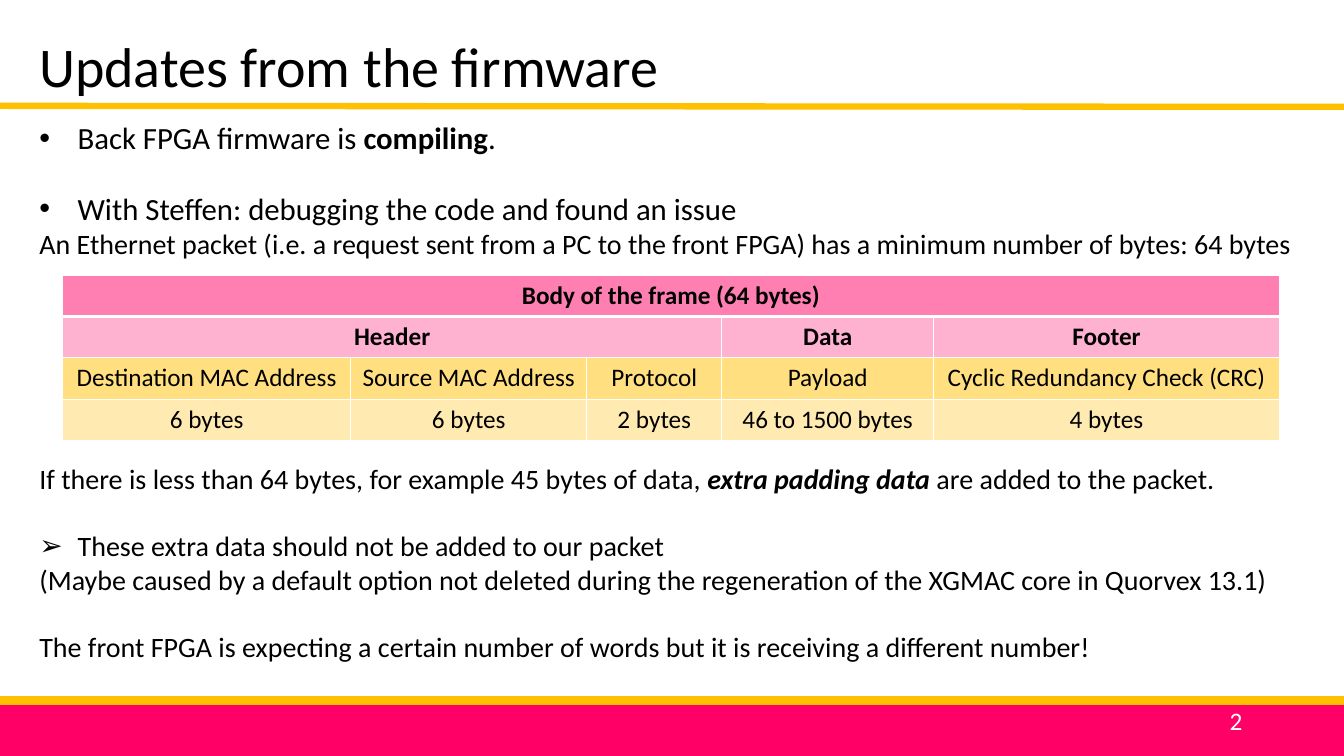
from lxml import etree
from pptx import Presentation
from pptx.dml.color import RGBColor
from pptx.enum import shapes, text
from pptx.oxml import ns
from pptx.util import Inches, Pt

PINK = RGBColor(0xFF, 0x00, 0x66)
GOLD = RGBColor(0xFF, 0xC0, 0x00)
BLACK = RGBColor(0, 0, 0)
WHITE = RGBColor(0xFF, 0xFF, 0xFF)
FONT = "Calibri"

# Gap before (pt), size, bullet, runs as (text, style)
BODY = [
    (0, 22, "•", [("Back FPGA firmware is ", ""), ("compiling", "b"), (".", "")]),
    (24, 22, "•", [("With Steffen: debugging the code and found an issue", "")]),
    (0, 20, "", [("An Ethernet packet (i.e. a request sent from a PC to the front "
                  "FPGA) has a minimum number of bytes: 64 bytes", "")]),
    (144, 20, "", [("If there is less than 64 bytes, for example 45 bytes of data, ", ""),
                   ("extra padding data", "bi"), (" are added to the packet.", "")]),
    (24, 20, "➢", [("These extra data should not be added to our packet", "")]),
    (0, 20, "", [("(Maybe caused by a default option not deleted during the "
                  "regeneration of the XGMAC core in Quorvex 13.1)", "")]),
    (24, 20, "", [("The front FPGA is expecting a certain number of words but it "
                   "is receiving a different number!", "")]),
]

# Fill, opacity (%), bold, cells as (text, columns spanned)
ROWS = [
    (PINK, 50, True, [("Body of the frame (64 bytes)", 5)]),
    (PINK, 30, True, [("Header", 3), ("Data", 1), ("Footer", 1)]),
    (GOLD, 50, False, [("Destination MAC Address", 1), ("Source MAC Address", 1),
                       ("Protocol", 1), ("Payload", 1),
                       ("Cyclic Redundancy Check (CRC)", 1)]),
    (GOLD, 30, False, [("6 bytes", 1), ("6 bytes", 1), ("2 bytes", 1),
                       ("46 to 1500 bytes", 1), ("4 bytes", 1)]),
]
COLS = [2.86, 2.34, 1.34, 2.1, 3.43]
ROW_H = 0.41


def add(parent, tag, **attrs):
    return etree.SubElement(parent, ns.qn(tag), attrs)


def place(shape, left, top, width, height):
    shape.left, shape.top = Inches(left), Inches(top)
    shape.width, shape.height = Inches(width), Inches(height)


def style(run, size, color=BLACK, bold=False, italic=False):
    font = run.font
    font.name, font.size = FONT, Pt(size)
    font.bold, font.italic = bold, italic
    font.color.rgb = color


def add_rule(slide, y1, y2, width):
    line = slide.shapes.add_connector(
        shapes.MSO_CONNECTOR.STRAIGHT, 0, Inches(y1), Inches(13.33), Inches(y2))
    line.line.color.rgb = GOLD
    line.line.width = Pt(width)
    add(line._element.spPr, "a:effectLst")


def add_band(slide):
    band = slide.shapes.add_shape(
        shapes.MSO_SHAPE.RECTANGLE, 0, Inches(6.96), Inches(13.34), Inches(0.54))
    band.shadow.inherit = False
    band.fill.solid()
    band.fill.fore_color.rgb = PINK
    band.line.color.rgb = PINK
    band.line.width = Pt(1)


def set_title(slide):
    title = slide.shapes.title
    place(title, 0.29, 0.26, 6.41, 0.77)
    frame = title.text_frame
    frame.text = "Updates from the firmware"
    frame.word_wrap = False
    frame.auto_size = text.MSO_AUTO_SIZE.NONE
    frame.vertical_anchor = text.MSO_ANCHOR.TOP
    para = frame.paragraphs[0]
    para.alignment = text.PP_ALIGN.LEFT
    style(para.runs[0], 40)


def set_bullet(para, mark):
    props = para._p.get_or_add_pPr()
    indent = Inches(0.38) if mark else 0
    props.set("marL", str(indent))
    props.set("indent", str(-indent))
    if mark:
        add(props, "a:buFont", typeface="Arial")
        add(props, "a:buChar", char=mark)
    else:
        add(props, "a:buNone")


def set_body(slide):
    body = slide.placeholders[1]
    place(body, 0.29, 1.13, 12.72, 5.92)
    frame = body.text_frame
    frame.word_wrap = True
    frame.auto_size = text.MSO_AUTO_SIZE.NONE
    for i, (gap, size, mark, runs) in enumerate(BODY):
        para = frame.add_paragraph() if i else frame.paragraphs[0]
        para.space_before = Pt(gap)
        set_bullet(para, mark)
        for words, look in runs:
            run = para.add_run()
            run.text = words
            style(run, size, bold="b" in look, italic="i" in look)


def add_borders(cell, base):
    props = cell._tc.get_or_add_tcPr()
    for i, side in enumerate("LRTB"):
        width = base if side == "B" else 1
        edge = etree.Element(ns.qn(f"a:ln{side}"), w=str(Pt(width)))
        add(add(edge, "a:solidFill"), "a:srgbClr", val=str(WHITE))
        props.insert(i, edge)


def fill_cell(cell, color, alpha):
    cell.fill.solid()
    cell.fill.fore_color.rgb = color
    tint = cell._tc.tcPr.find(".//" + ns.qn("a:srgbClr"))
    add(tint, "a:alpha", val=str(alpha * 1000))


def add_frame_table(slide):
    table = slide.shapes.add_table(
        len(ROWS), len(COLS), Inches(0.62), Inches(2.73),
        Inches(sum(COLS)), Inches(ROW_H * len(ROWS))).table
    table.first_row = table.horz_banding = False
    for col, width in zip(table.columns, COLS):
        col.width = Inches(width)
    for r, (color, alpha, bold, cells) in enumerate(ROWS):
        table.rows[r].height = Inches(ROW_H)
        for c in range(len(COLS)):
            fill_cell(table.cell(r, c), color, alpha)
            add_borders(table.cell(r, c), 1 if r else 3)
        c = 0
        for words, span in cells:
            cell = table.cell(r, c)
            if span > 1:
                cell.merge(table.cell(r, c + span - 1))
            cell.text_frame.text = words
            para = cell.text_frame.paragraphs[0]
            para.alignment = text.PP_ALIGN.CENTER
            style(para.runs[0], 18, bold=bold)
            c += span


def add_number(slide):
    box = slide.shapes.add_textbox(Inches(9.42), Inches(6.95), Inches(3), Inches(0.4))
    frame = box.text_frame
    frame.word_wrap = True
    frame.vertical_anchor = text.MSO_ANCHOR.MIDDLE
    frame.text = "2"
    para = frame.paragraphs[0]
    para.alignment = text.PP_ALIGN.RIGHT
    style(para.runs[0], 18, WHITE)


def main():
    deck = Presentation()
    deck.slide_width, deck.slide_height = Inches(13.33), Inches(7.5)
    slide = deck.slides.add_slide(deck.slide_layouts[1])
    # Rules and footer band
    add_rule(slide, 1.05, 1.06, 4.5)
    add_band(slide)
    add_rule(slide, 6.95, 6.95, 6)
    # Content
    set_title(slide)
    set_body(slide)
    add_frame_table(slide)
    add_number(slide)
    deck.save("out.pptx")


if __name__ == "__main__":
    main()
